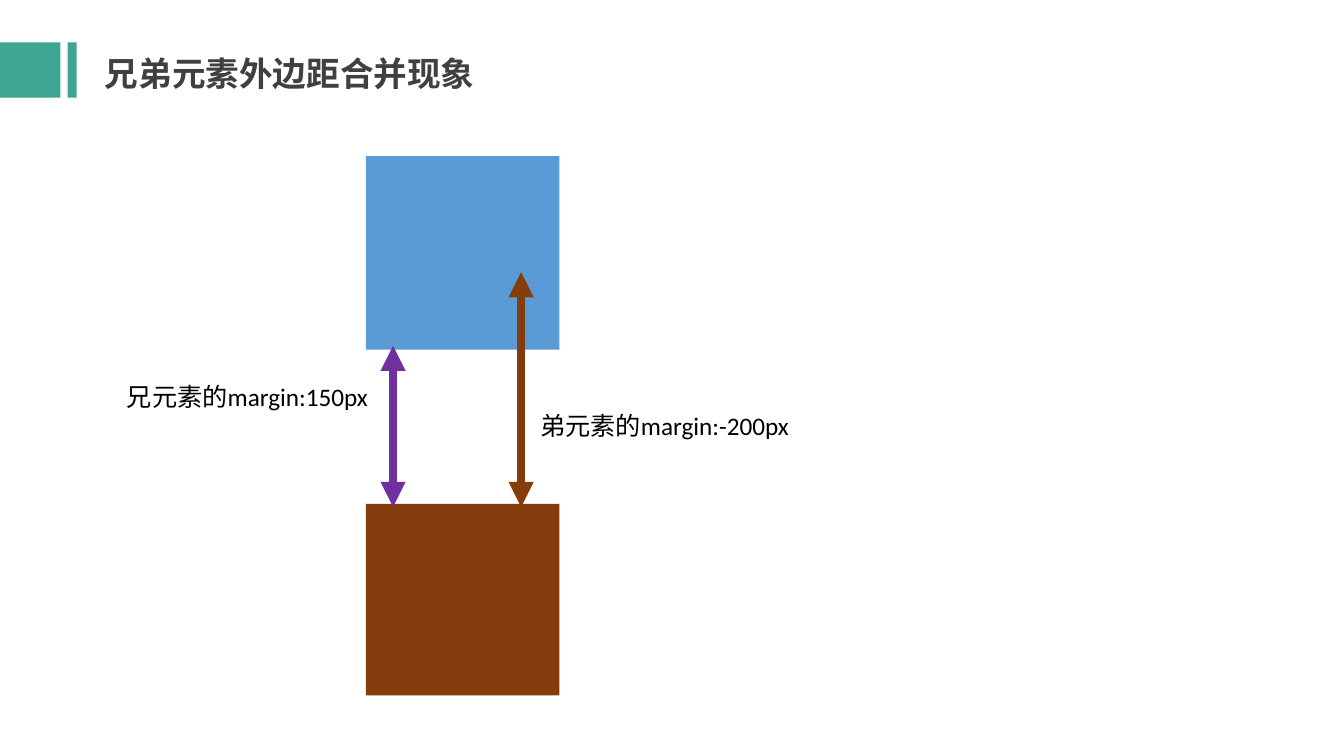
from lxml import etree
from pptx import Presentation
from pptx import util as u
from pptx.dml.color import RGBColor
from pptx.enum import shapes, text
from pptx.oxml.ns import qn

COLUMNS, ROWS = 80, 45
WIDTH, HEIGHT = u.Inches(13.33), u.Inches(7.5)
COLORS = {
    "accent": "3DA591",
    "title": "404040",
    "label": "000000",
    "paper": "FFFFFF",
    "elder": "5B9BD5",
    "younger": "843C0C",
    "elder_margin": "7030A0",
}
CJK_FONT = "Noto Sans CJK SC"
TITLE_FONT = {"name": CJK_FONT, "size": u.Pt(24), "bold": True}
LABEL_FONT = {"name": "Calibri", "size": u.Pt(18), "bold": False}

SQUARE_LEFT, SQUARE_SIDE = 21.78, 11.52
ELDER_TOP, YOUNGER_TOP = 9.3, 30
ARROW_BOTTOM = YOUNGER_TOP + 0.18
BAR_TOP, BAR_HEIGHT = 2.52, 3.3


def x(columns):
    return round(WIDTH * columns / COLUMNS)


def y(rows):
    return round(HEIGHT * rows / ROWS)


def area(left, top, width, height):
    """Turn grid columns and rows into slide lengths."""
    return x(left), y(top), x(width), y(height)


def color(name):
    return RGBColor.from_string(COLORS[name])


def write(box, words, font_values, color_name, anchor):
    frame = box.text_frame
    frame_values = {
        "word_wrap": True,
        "auto_size": text.MSO_AUTO_SIZE.NONE,
        "vertical_anchor": anchor,
    }
    for name, value in frame_values.items():
        setattr(frame, name, value)
    para = frame.paragraphs[0]
    para.alignment = text.PP_ALIGN.LEFT
    span = para.add_run()
    span.text = words
    for name, value in font_values.items():
        setattr(span.font, name, value)
    span.font.color.rgb = color(color_name)
    east_asian = etree.SubElement(span.font._element, qn("a:ea"))
    east_asian.set("typeface", CJK_FONT)


def add_title(page, words):
    title = page.shapes.title
    title.left, title.top, title.width, title.height = area(5.64, 2.82, 43.8, 3)
    title.fill.solid()
    title.fill.fore_color.rgb = color("paper")
    write(title, words, TITLE_FONT, "title", text.MSO_ANCHOR.MIDDLE)


def add_block(page, place, color_name):
    block = page.shapes.add_shape(shapes.MSO_SHAPE.RECTANGLE, *area(*place))
    block.shadow.inherit = False
    block.fill.solid()
    block.fill.fore_color.rgb = color(color_name)
    block.line.fill.background()


def add_margin_arrow(page, column, top, color_name):
    """Draw a double-headed arrow up from the younger element."""
    arrow = page.shapes.add_connector(
        shapes.MSO_CONNECTOR.STRAIGHT, x(column), y(ARROW_BOTTOM), x(column), y(top)
    )
    arrow.line.width = u.Pt(6)
    arrow.line.color.rgb = color(color_name)
    for end in ("a:headEnd", "a:tailEnd"):
        etree.SubElement(arrow.line._ln, qn(end)).set("type", "triangle")
    etree.SubElement(arrow._element.spPr, qn("a:effectLst"))


def add_label(page, left, top, words):
    box = page.shapes.add_textbox(*area(left, top, 17.64, 2.4))
    write(box, words, LABEL_FONT, "label", text.MSO_ANCHOR.TOP)


def main():
    deck = Presentation()
    deck.slide_width, deck.slide_height = WIDTH, HEIGHT
    page = deck.slides.add_slide(deck.slide_layouts.get_by_name("Title Only"))

    for left, width in ((0, 3.6), (4.02, 0.54)):
        add_block(page, (left, BAR_TOP, width, BAR_HEIGHT), "accent")
    add_title(page, "兄弟元素外边距合并现象")

    add_block(page, (SQUARE_LEFT, ELDER_TOP, SQUARE_SIDE, SQUARE_SIDE), "elder")
    add_block(page, (SQUARE_LEFT, YOUNGER_TOP, SQUARE_SIDE, 11.4), "younger")

    add_margin_arrow(page, 23.4, 20.58, "elder_margin")
    add_label(page, 6.96, 22.38, "兄元素的margin:150px")
    add_margin_arrow(page, 31.02, 16.2, "younger")
    add_label(page, 31.56, 24.12, "弟元素的margin:-200px")

    deck.save("out.pptx")


if __name__ == "__main__":
    main()
